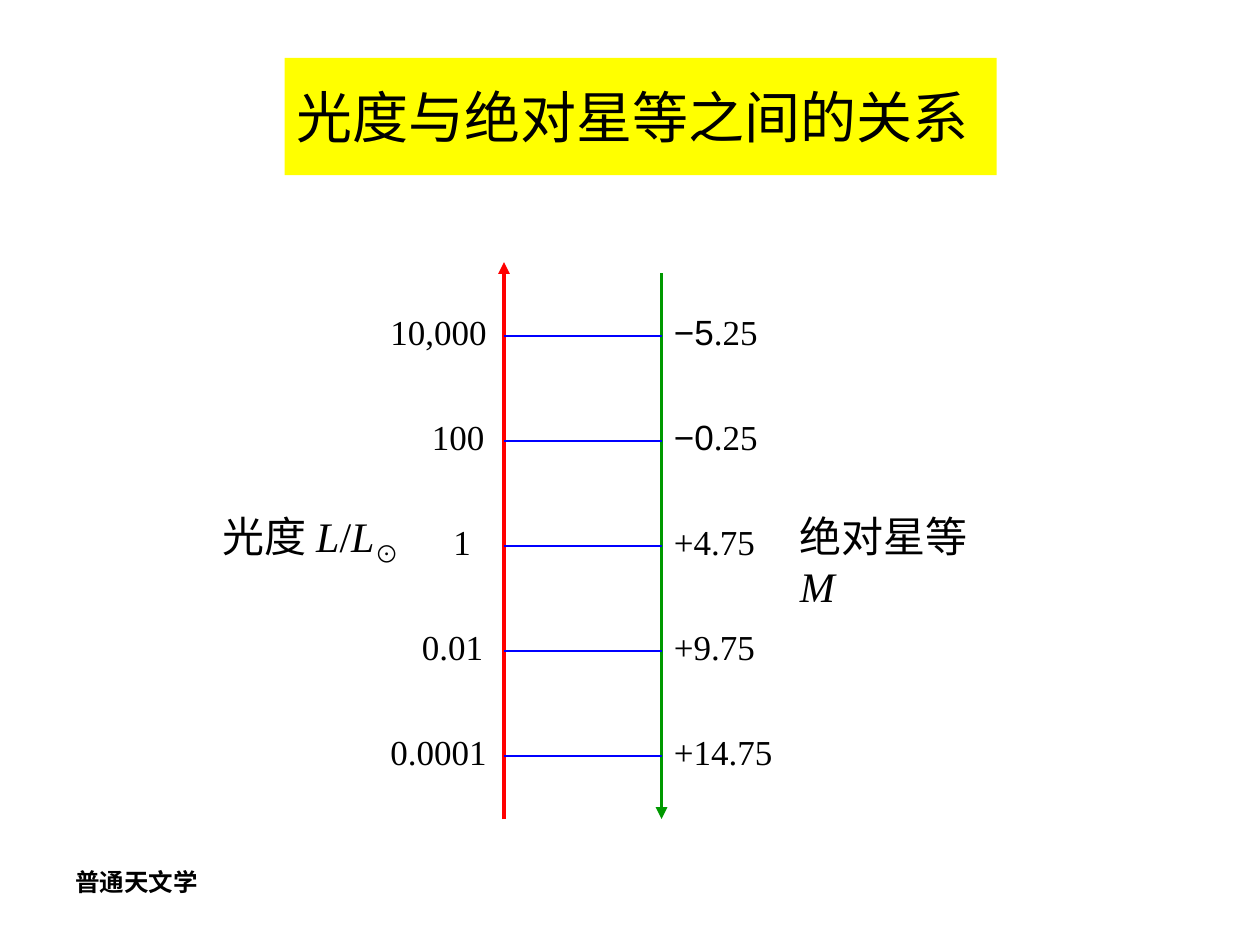
import pptx
import pptx.util
import pptx.dml.color
import pptx.enum.shapes
import pptx.enum.text
import pptx.oxml.ns
import lxml.etree
from dataclasses import dataclass

Inches = pptx.util.Inches
Pt = pptx.util.Pt
qn = pptx.oxml.ns.qn


@dataclass(frozen=True)
class Theme:
    ink: str = "000000"
    band: str = "FFFF00"
    lum: str = "FF0000"
    mag: str = "009900"
    tick: str = "0000FF"
    serif: str = "Times New Roman"
    sans: str = "Arial"
    han: str = "Noto Sans CJK SC"
    title: int = 32
    name: int = 24
    value: int = 20
    foot: int = 14
    axis: float = 2.25
    thin: float = 0.75


THEME = Theme()
LEFT, RIGHT = 4, 5.25
FIRST, STEP = 8 / 3, 5 / 6

# luminosity, left edge and width of its label, magnitude as sans and serif parts
SCALE = [
    ("10,000", 3, 1.33, "−5", ".25"),
    ("100", 3.33, 0.83, "−0", ".25"),
    ("1", 3.5, 0.5, "", "+4.75"),
    ("0.01", 3.25, 1.08, "", "+9.75"),
    ("0.0001", 3, 1.17, "", "+14.75"),
]


def color(code):
    return pptx.dml.color.RGBColor.from_string(code)


def add_run(para, text, size, face, bold=False, italic=False, base=0):
    """Add a run; base shifts it from the baseline, in percent."""
    run = para.add_run()
    run.text = text
    font = run.font
    font.size, font.name = Pt(size), face
    font.bold, font.italic = bold, italic
    font.color.rgb = color(THEME.ink)
    props = font._element
    lxml.etree.SubElement(props, qn("a:ea")).set("typeface", THEME.han)
    if base:
        props.set("baseline", str(base * 1000))


def add_text(slide, left, top, width, height, size, parts):
    """Add a text box; parts are (text, face, run options)."""
    box = slide.shapes.add_textbox(
        Inches(left), Inches(top), Inches(width), Inches(height))
    frame = box.text_frame
    frame.word_wrap = True
    for text, face, opts in parts:
        add_run(frame.paragraphs[0], text, size, face, **opts)
    return box


def add_line(slide, start, end, code, width, arrow=False):
    line = slide.shapes.add_connector(
        pptx.enum.shapes.MSO_CONNECTOR.STRAIGHT,
        Inches(start[0]), Inches(start[1]), Inches(end[0]), Inches(end[1]))
    line.line.color.rgb = color(code)
    line.line.width = Pt(width)
    if arrow:
        outline = line.line._get_or_add_ln()
        lxml.etree.SubElement(outline, qn("a:tailEnd")).set("type", "triangle")
    lxml.etree.SubElement(line._element.spPr, qn("a:effectLst"))


def add_title(slide):
    box = add_text(slide, 2.26, 0.46, 5.65, 0.93, THEME.title,
                   [("光度与绝对星等之间的关系", THEME.sans, {})])
    box.fill.solid()
    box.fill.fore_color.rgb = color(THEME.band)
    frame = box.text_frame
    frame.margin_left, frame.margin_right = Inches(0.05), Inches(0.17)
    frame.vertical_anchor = pptx.enum.text.MSO_ANCHOR.MIDDLE
    frame.paragraphs[0].alignment = pptx.enum.text.PP_ALIGN.CENTER


def add_scale(slide):
    add_line(slide, (LEFT, 6.5), (LEFT, 2.08), THEME.lum, THEME.axis, True)
    add_line(slide, (RIGHT, 2.17), (RIGHT, 6.5), THEME.mag, THEME.axis, True)
    for row, (lum, left, width, sans, serif) in enumerate(SCALE):
        y = FIRST + row * STEP
        add_line(slide, (LEFT, y), (RIGHT, y), THEME.tick, THEME.thin)
        add_text(slide, left, y - 0.25, width, 0.43, THEME.value,
                 [(lum, THEME.serif, {})])
        parts = [(sans, THEME.sans, {})] if sans else []
        add_text(slide, RIGHT, y - 0.25, 1.33, 0.43, THEME.value,
                 parts + [(serif, THEME.serif, {})])


def add_names(slide):
    face, slant = THEME.serif, {"italic": True}
    lum = [("光度 ", face, {}), ("L", face, slant), ("/", face, {}),
           ("L", face, slant), ("⊙", face, {"base": -25})]
    mag = [("绝对星等 ", face, {}), ("M", face, slant)]
    for left, parts in ((1.67, lum), (6.25, mag)):
        add_text(slide, left, 4, 1.83, 0.5, THEME.name, parts)


def main():
    deck = pptx.Presentation()
    deck.slide_width, deck.slide_height = Inches(10), Inches(7.5)
    slide = deck.slides.add_slide(deck.slide_layouts[6])
    add_text(slide, 0.5, 6.83, 2.33, 0.52, THEME.foot,
             [("普通天文学", THEME.han, {"bold": True})])
    add_title(slide)
    add_scale(slide)
    add_names(slide)
    deck.save("out.pptx")


if __name__ == "__main__":
    main()
